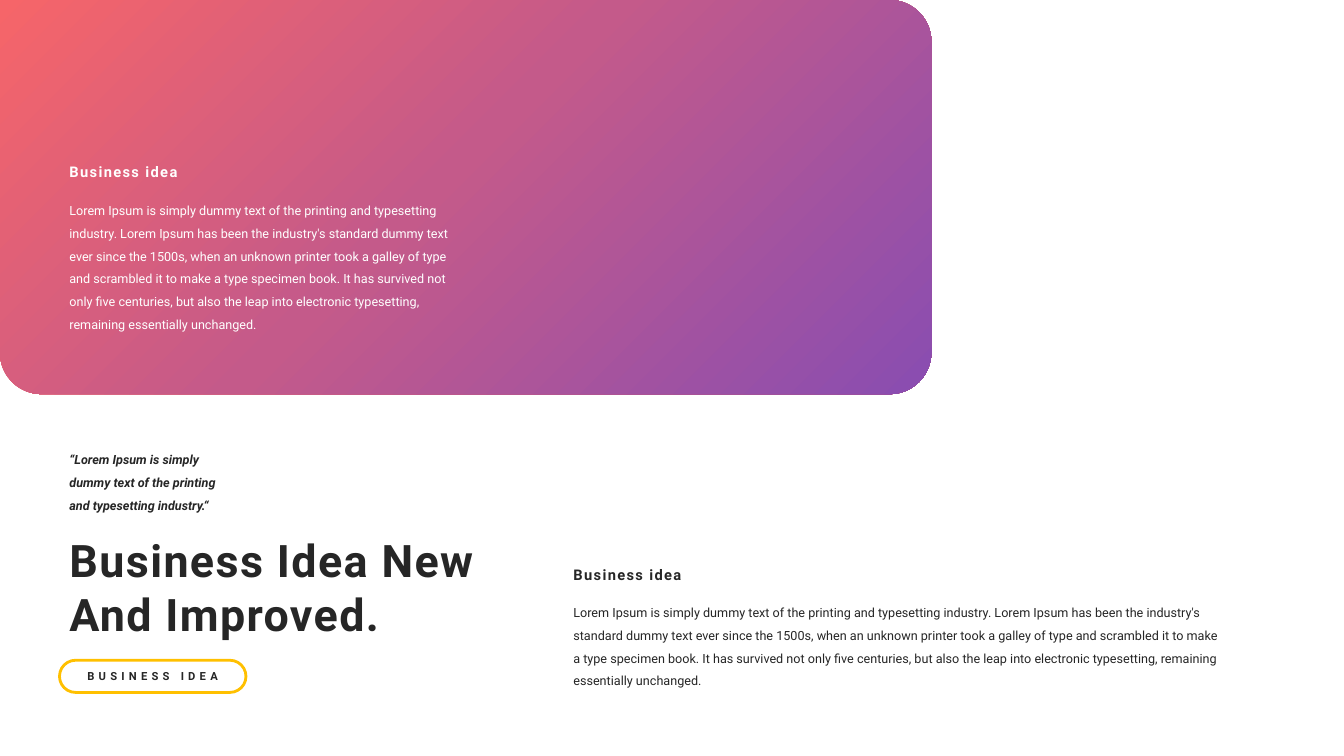
from copy import deepcopy
from dataclasses import dataclass
from math import cos, radians, sin

from pptx import Presentation
from pptx.dml.color import RGBColor
from pptx.enum.shapes import MSO_SHAPE
from pptx.enum.text import MSO_ANCHOR, MSO_AUTO_SIZE, PP_ALIGN
from pptx.oxml.ns import qn
from pptx.shapes.autoshape import Shape
from pptx.shapes.shapetree import GroupShapes, SlideShapes
from pptx.util import Pt

ROUNDED_RECTANGLE = MSO_SHAPE.ROUNDED_RECTANGLE
LEFT, CENTER = PP_ALIGN.LEFT, PP_ALIGN.CENTER
MIDDLE = MSO_ANCHOR.MIDDLE
GROW = MSO_AUTO_SIZE.SHAPE_TO_FIT_TEXT


@dataclass(frozen=True)
class Theme:
    font: str = "Roboto"
    dark: str = "262626"
    white: str = "FFFFFF"
    accent: str = "FFC000"
    gradient: tuple[tuple[float, str], ...] = (
        (0, "F66569"), (0.47, "C45A8A"), (1, "894DB1"))
    title_size: float = 32
    heading_size: float = 10.5
    body_size: float = 9
    button_size: float = 8


@dataclass(frozen=True)
class Box:
    left: float
    top: float
    width: float
    height: float

    def lengths(self) -> tuple[Pt, Pt, Pt, Pt]:
        return Pt(self.left), Pt(self.top), Pt(self.width), Pt(self.height)


@dataclass(frozen=True)
class Article:
    """A heading with a body text under it."""
    left: float
    top: float
    body_width: float
    body_height: float
    color: str


THEME = Theme()
MARGIN = 42.5
BANNER = Box(0, 0, 665.3, 281.5)
BANNER_RADIUS = 29.8
HEADING_WIDTH, HEADING_HEIGHT, BODY_OFFSET = 214.6, 20.9, 23
ARTICLES = (
    Article(MARGIN, 113, 295.9, 103.7, THEME.white),
    Article(402.5, 400.3, 477.4, 70.6, THEME.dark),
)
QUOTE = "“Lorem Ipsum is simply dummy text of the printing and typesetting industry.“"
BODY = (
    "Lorem Ipsum is simply dummy text of the printing and typesetting industry. "
    "Lorem Ipsum has been the industry's standard dummy text ever since the 1500s, "
    "when an unknown printer took a galley of type and scrambled it to make a type "
    "specimen book. It has survived not only five centuries, but also the leap into "
    "electronic typesetting, remaining essentially unchanged."
)


def write_text(shape: Shape, text: str, *, size: float, color: str = THEME.dark,
               bold: bool = False, italic: bool = False, tracking: float = 0,
               line_spacing: float = 1.0, alignment: PP_ALIGN = LEFT) -> None:
    """Fill the shape with one formatted paragraph; tracking is in points."""
    shape.text_frame.word_wrap = True
    paragraph = shape.text_frame.paragraphs[0]
    paragraph.alignment = alignment
    paragraph.line_spacing = line_spacing
    run = paragraph.add_run()
    run.text = text
    font = run.font
    font.name, font.size = THEME.font, Pt(size)
    font.bold, font.italic = bold, italic
    font.color.rgb = RGBColor.from_string(color)
    if tracking:
        run._r.get_or_add_rPr().set("spc", str(round(tracking * 100)))


def add_text(shapes: GroupShapes, box: Box, text: str, **text_format) -> None:
    text_box = shapes.add_textbox(*box.lengths())
    write_text(text_box, text, **text_format)
    text_box.text_frame.auto_size = GROW


def corner_points(center_x: float, center_y: float, start_angle: int) -> list[tuple[Pt, Pt]]:
    """Return a clockwise quarter circle in steps of three degrees."""
    angles = [radians(start_angle + step) for step in range(0, 91, 3)]
    return [(Pt(center_x + BANNER_RADIUS * cos(angle)),
             Pt(center_y + BANNER_RADIUS * sin(angle))) for angle in angles]


def fill_with_gradient(shape: Shape) -> None:
    shape.fill.gradient()
    shape.fill.gradient_angle = 315
    stop_list = shape.element.spPr.find(".//" + qn("a:gsLst"))
    stop_list.insert(1, deepcopy(stop_list[0]))
    for stop, (position, color) in zip(shape.fill.gradient_stops, THEME.gradient):
        stop.position = position
        stop.color.rgb = RGBColor.from_string(color)


def add_banner(shapes: SlideShapes) -> None:
    """Draw the gradient panel, rounded at every corner but the top left."""
    right, bottom = BANNER.width - BANNER_RADIUS, BANNER.height - BANNER_RADIUS
    builder = shapes.build_freeform(Pt(0), Pt(0), scale=1.0)
    for center_x, center_y, start_angle in (
            (right, BANNER_RADIUS, -90), (right, bottom, 0), (BANNER_RADIUS, bottom, 90)):
        builder.add_line_segments(corner_points(center_x, center_y, start_angle), close=False)
    builder.add_line_segments([(Pt(0), Pt(0))], close=True)
    banner = builder.convert_to_shape()
    banner.shadow.inherit = False
    banner.line.fill.background()
    fill_with_gradient(banner)


def add_button(shapes: GroupShapes, box: Box, text: str) -> None:
    button = shapes.add_shape(ROUNDED_RECTANGLE, *box.lengths())
    button.adjustments[0] = 0.5
    button.shadow.inherit = False
    button.fill.background()
    button.line.color.rgb = RGBColor.from_string(THEME.accent)
    button.line.width = Pt(2)
    button.text_frame.vertical_anchor = MIDDLE
    write_text(button, text, size=THEME.button_size, bold=True, tracking=3, alignment=CENTER)


def add_headline(shapes: GroupShapes) -> None:
    add_text(shapes, Box(MARGIN, 313.9, 133.2, 54.7), QUOTE, size=THEME.body_size,
             bold=True, italic=True, line_spacing=1.5)
    add_text(shapes, Box(MARGIN, 377.3, 313.9, 85), "Business Idea New And Improved.",
             size=THEME.title_size, bold=True, tracking=1)
    add_button(shapes, Box(MARGIN, 471.6, 133.2, 23), "BUSINESS IDEA")


def add_article(shapes: GroupShapes, article: Article) -> None:
    add_text(shapes, Box(article.left, article.top, HEADING_WIDTH, HEADING_HEIGHT),
             "Business idea", size=THEME.heading_size, color=article.color,
             bold=True, tracking=1)
    add_text(shapes, Box(article.left, article.top + BODY_OFFSET,
                         article.body_width, article.body_height),
             BODY, size=THEME.body_size, color=article.color, line_spacing=1.5)


def main() -> None:
    presentation = Presentation()
    presentation.slide_width, presentation.slide_height = Pt(960), Pt(540)
    slide = presentation.slides.add_slide(presentation.slide_layouts[6])
    add_banner(slide.shapes)
    add_headline(slide.shapes.add_group_shape().shapes)
    for article in ARTICLES:
        add_article(slide.shapes.add_group_shape().shapes, article)
    presentation.save("out.pptx")


if __name__ == "__main__":
    main()
